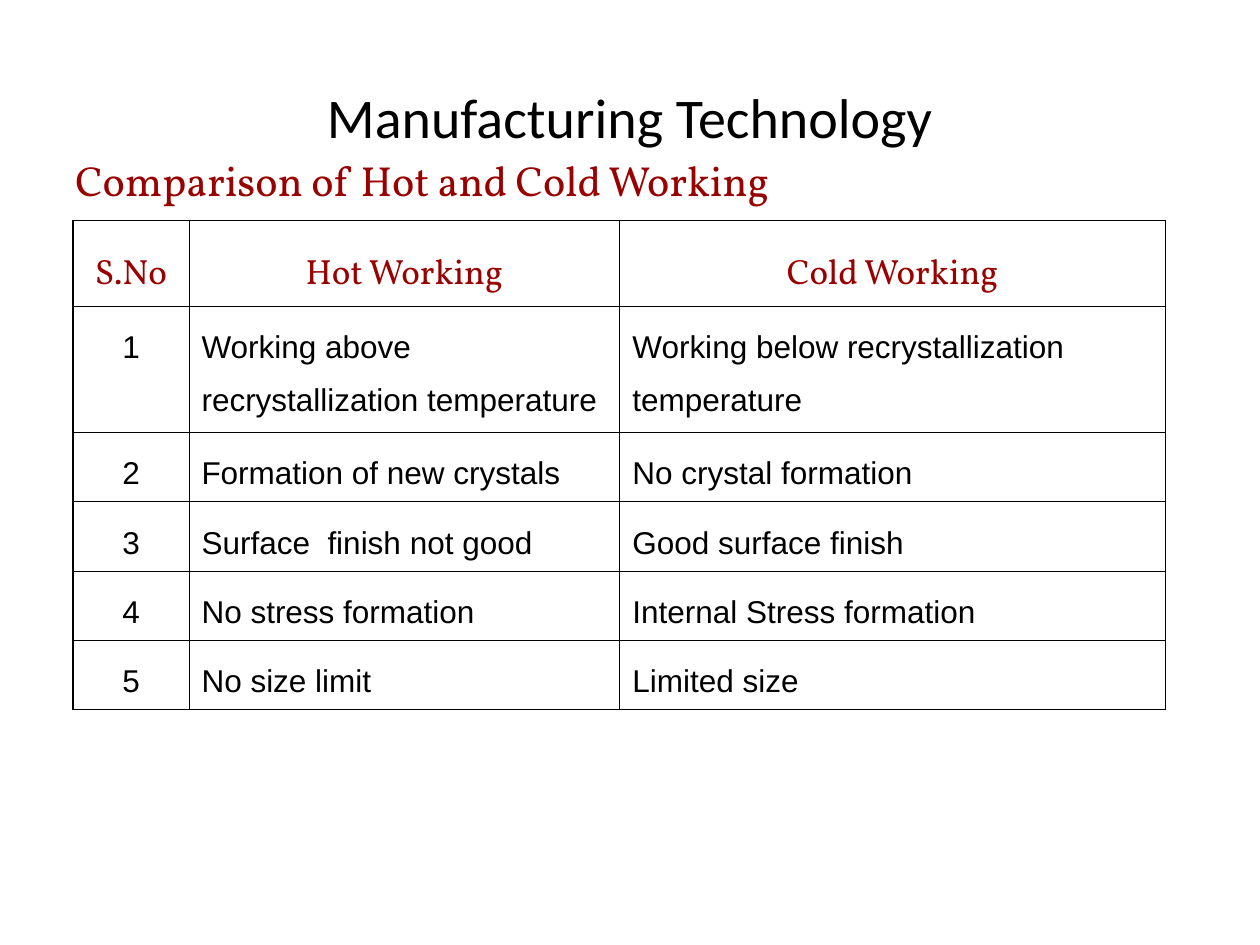
"""Build a slide with a table comparing hot and cold working."""
from lxml import etree
from pptx import Presentation
from pptx.dml.color import RGBColor
from pptx.enum.text import MSO_ANCHOR, PP_ALIGN
from pptx.oxml.ns import qn
from pptx.util import Inches, Pt

CENTER, LEFT, JUSTIFY = PP_ALIGN.CENTER, PP_ALIGN.LEFT, PP_ALIGN.JUSTIFY
TOP, MIDDLE = MSO_ANCHOR.TOP, MSO_ANCHOR.MIDDLE

COLORS = {"text": "000000", "accent": "990000", "border": "000000"}
FORMATS = {
    "title": {"name": "Calibri", "size": Pt(32), "color": "text"},
    "subtitle": {"name": "Vollkorn", "size": Pt(24), "color": "accent"},
    "header": {"name": "Vollkorn", "size": Pt(20), "color": "accent"},
    "body": {"name": "Arial", "size": Pt(18), "color": "text"},
}
HEADINGS = [
    ("Manufacturing Technology", "title", (0.5, 0.3, 9, 1.25), CENTER, MIDDLE, 1),
    ("Comparison of Hot and Cold Working", "subtitle", (0.5, 1.08, 9, 0.65), JUSTIFY, TOP, 1.25),
]
HEADER = ("S.No", "Hot Working", "Cold Working")
COMPARISONS = [
    ("Working above recrystallization temperature", "Working below recrystallization temperature"),
    ("Formation of new crystals", "No crystal formation"),
    ("Surface  finish not good", "Good surface finish"),
    ("No stress formation", "Internal Stress formation"),
    ("No size limit", "Limited size"),
]
TABLE_LEFT, TABLE_TOP = 0.58, 1.75
COL_WIDTHS = (0.92, 3.42, 4.33)
ROW_HEIGHTS = (0.68, 0.98, 0.54, 0.54, 0.54, 0.54)
OUTER_LINE, INNER_LINE = Pt(1.08), Pt(0.45)


def write(tf, text, style, align, spacing):
    p = tf.paragraphs[0]
    p.alignment, p.line_spacing = align, spacing
    r = p.add_run()
    r.text = text
    for key, value in FORMATS[style].items():
        if key == "color":
            r.font.color.rgb = RGBColor.from_string(COLORS[value])
        else:
            setattr(r.font, key, value)


def set_borders(cell, outer_sides):
    tc_pr = cell._tc.get_or_add_tcPr()
    for side, outer in outer_sides.items():
        width = OUTER_LINE if outer else INNER_LINE
        ln = etree.SubElement(tc_pr, qn(f"a:ln{side}"), w=str(int(width)))
        fill = etree.SubElement(ln, qn("a:solidFill"))
        etree.SubElement(fill, qn("a:srgbClr"), val=COLORS["border"])


def add_heading(slide, text, style, box, align, anchor, spacing):
    tf = slide.shapes.add_textbox(*map(Inches, box)).text_frame
    tf.word_wrap, tf.vertical_anchor = True, anchor
    write(tf, text, style, align, spacing)


def add_comparison(slide):
    rows = [HEADER] + [(str(n), *pair) for n, pair in enumerate(COMPARISONS, 1)]
    last_row, last_col = len(rows) - 1, len(HEADER) - 1
    box = (TABLE_LEFT, TABLE_TOP, sum(COL_WIDTHS), sum(ROW_HEIGHTS))
    table = slide.shapes.add_table(len(rows), len(HEADER), *map(Inches, box)).table
    for col, width in zip(table.columns, COL_WIDTHS):
        col.width = Inches(width)
    for row, height in zip(table.rows, ROW_HEIGHTS):
        row.height = Inches(height)
    for i, values in enumerate(rows):
        for j, text in enumerate(values):
            cell = table.cell(i, j)
            style = "header" if i == 0 else "body"
            align = CENTER if i == 0 or j == 0 else LEFT
            write(cell.text_frame, text, style, align, 1.5)
            set_borders(cell, {"L": j == 0, "R": j == last_col, "T": i == 0, "B": i == last_row})
            cell.fill.background()


def main():
    prs = Presentation()
    prs.slide_width, prs.slide_height = Inches(10), Inches(7.5)
    slide = prs.slides.add_slide(prs.slide_layouts[6])
    for heading in HEADINGS:
        add_heading(slide, *heading)
    add_comparison(slide)
    prs.save("out.pptx")


if __name__ == "__main__":
    main()
